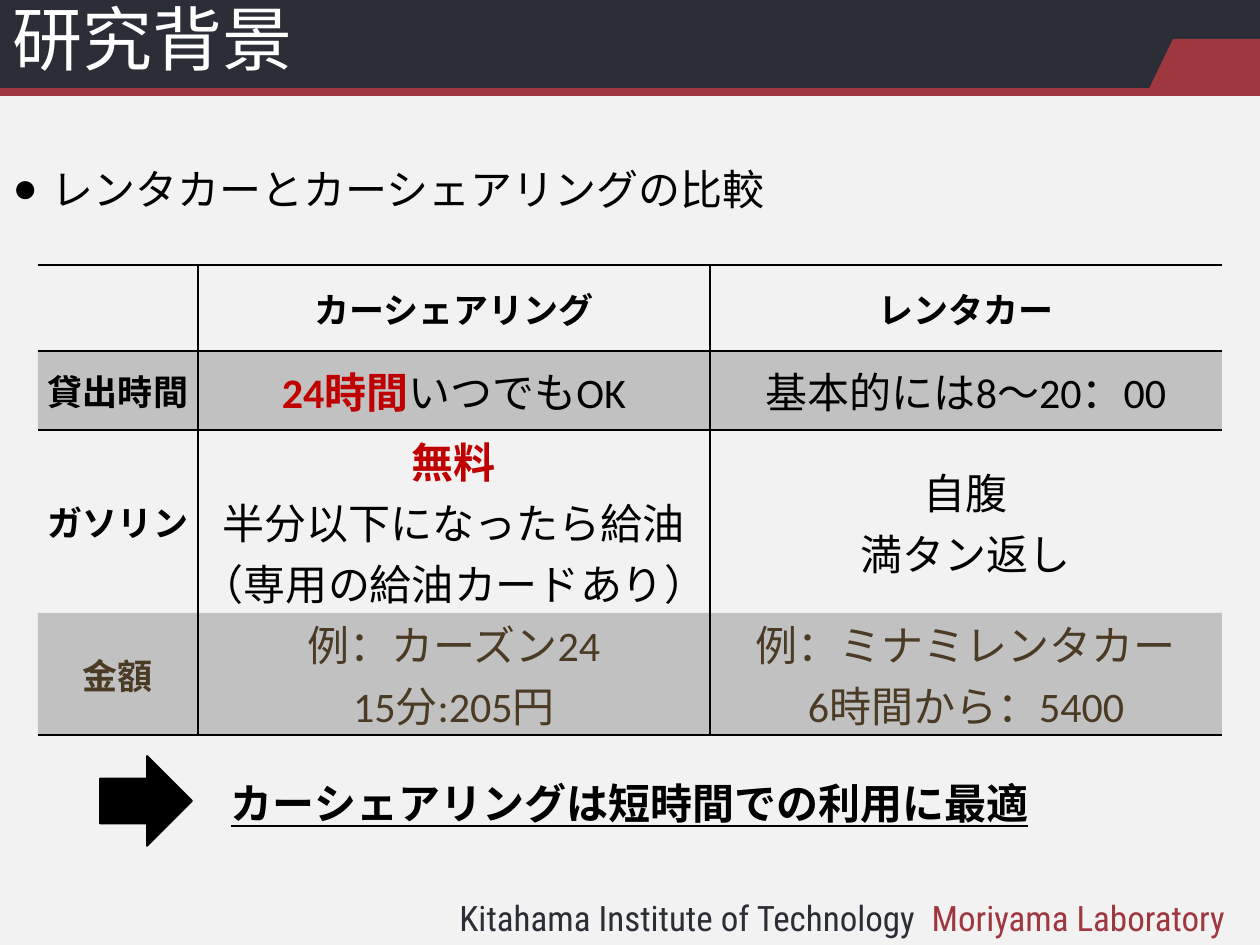
from lxml.etree import SubElement
from pptx import Presentation
from pptx.dml.color import RGBColor
from pptx.enum.shapes import MSO_CONNECTOR, MSO_SHAPE as SHAPE
from pptx.enum.text import MSO_ANCHOR as ANCHOR, MSO_AUTO_SIZE as AUTO, PP_ALIGN as ALIGN
from pptx.oxml.ns import qn
from pptx.util import Pt

PX = 914400 // 126
COLORS = {"page": "F2F2F2", "navy": "2B2E36", "red": "9E373E", "white": "FFFFFF",
          "black": "000000", "accent": "C00000", "brown": "4B3A24"}
JP, LATIN, FOOT = "Noto Sans CJK JP", "Calibri", "Roboto Condensed"

TITLE = "研究背景"
TOPIC = "レンタカーとカーシェアリングの比較"
CONCLUSION = "カーシェアリングは短時間での利用に最適"
FOOTER = [("Kitahama Institute of Technology  ", "navy"), ("Moriyama Laboratory", "red")]
HEADER = ["", "カーシェアリング", "レンタカー"]
ROWS = [
    ("貸出時間", [[("24時間", True), ("いつでもOK", False)]],
     [[("基本的には8～20：00", False)]], "black"),
    ("ガソリン", [[("無料", True)], [("半分以下になったら給油", False)],
              [("（専用の給油カードあり）", False)]],
     [[("自腹", False)], [("満タン返し", False)]], "black"),
    ("金額", [[("例：カーズン24", False)], [("15分:205円", False)]],
     [[("例：ミナミレンタカー", False)], [("6時間から：5400", False)]], "brown"),
]
COLUMN_WIDTHS = [160, 512, 512]
ROW_HEIGHTS = [86, 79, 183, 121]
BANDS = [
    (SHAPE.RECTANGLE, (0, 0, 1260, 89), "navy"),
    (SHAPE.RECTANGLE, (1173, 39, 87, 53), "red"),
    (SHAPE.RIGHT_TRIANGLE, (1149, 39, 24, 50), "red"),
]
ARROW = (100, 756, 92, 90)


def rgb(name):
    return RGBColor.from_string(COLORS[name])


def box(*px):
    return [v * PX for v in px]


def place(shape, *px):
    shape.left, shape.top, shape.width, shape.height = box(*px)


def style(font, size, color, face=LATIN, bold=False):
    font.size, font.bold, font.name = Pt(size), bold, face
    font.color.rgb = rgb(color)
    SubElement(font._rPr, qn("a:ea")).set("typeface", JP)


def add_plain(kind, bounds, color):
    shape = slide.shapes.add_shape(kind, *box(*bounds))
    shape.shadow.inherit = False
    shape.fill.solid()
    shape.fill.fore_color.rgb = rgb(color)
    shape.line.fill.background()
    return shape


def add_text(*bounds):
    frame = slide.shapes.add_textbox(*box(*bounds)).text_frame
    frame.word_wrap = True
    return frame


def write_cell(cell, lines, color, size, bold):
    cell.margin_left = cell.margin_right = cell.margin_top = cell.margin_bottom = 0
    cell.vertical_anchor = ANCHOR.MIDDLE
    frame = cell.text_frame
    for i, parts in enumerate(lines):
        line = frame.add_paragraph() if i else frame.paragraphs[0]
        line.alignment = ALIGN.CENTER
        style(line.font, size, color, bold=bold)
        for text, strong in parts:
            run = line.add_run()
            run.text = text
            style(run.font, size, "accent" if strong else color, bold=bold or strong)


def finish_cell(cell, row, col):
    tc_pr = cell._tc.get_or_add_tcPr()
    sides = [("L", col > 0), ("R", col < 2), ("T", row < 2), ("B", row in (0, 3))]
    for side, shown in sides:
        if shown:
            border = SubElement(tc_pr, qn(f"a:ln{side}"), w=str(Pt(1)))
            fill = SubElement(border, qn("a:solidFill"))
            SubElement(fill, qn("a:srgbClr"), val=COLORS["black"])
    if row % 2:
        cell.fill.solid()
        cell.fill.fore_color.rgb = rgb("black")
        shade = next(tc_pr.find(qn("a:solidFill")).iter(qn("a:srgbClr")))
        SubElement(shade, qn("a:alpha"), val="20000")
    else:
        cell.fill.background()


prs = Presentation()
prs.slide_width, prs.slide_height = box(1260, 945)
slide = prs.slides.add_slide(prs.slide_layouts[1])
slide.background.fill.solid()
slide.background.fill.fore_color.rgb = rgb("page")
title, topic = slide.placeholders

footer = add_text(447, 890, 813, 55).paragraphs[0]
for text, color in FOOTER:
    run = footer.add_run()
    run.text = text
    style(run.font, 20, color, FOOT)

bands = [add_plain(*band) for band in BANDS]
bands[-1]._element.spPr.find(qn("a:xfrm")).set("flipH", "1")
rule = slide.shapes.add_connector(MSO_CONNECTOR.STRAIGHT, *box(0, 92, 1260, 92))
rule.line.color.rgb, rule.line.width = rgb("red"), Pt(5)
SubElement(rule._element.spPr, qn("a:effectLst"))

slide.shapes._spTree.append(title._element)
place(title, 0, -1, 1137, 88)
title.text_frame.text = TITLE
title.text_frame.auto_size = AUTO.NONE
title.text_frame.vertical_anchor = ANCHOR.MIDDLE
heading = title.text_frame.paragraphs[0]
heading.alignment, heading.line_spacing = ALIGN.LEFT, 0.9
style(heading.font, 40, "white", JP)

place(topic, 0, 157, 825, 77)
topic.text_frame.text = TOPIC
topic.text_frame.auto_size = AUTO.NONE
bullet = topic.text_frame.paragraphs[0]
bullet.space_before = Pt(0)
style(bullet.font, 24, "black", JP)
bullet_pr = bullet._p.get_or_add_pPr()
bullet_pr.set("marL", str(39 * PX))
bullet_pr.set("indent", str(-39 * PX))
mark = SubElement(bullet_pr, qn("a:buChar"), char="●")
bullet_pr.find(qn("a:defRPr")).addprevious(mark)

table = slide.shapes.add_table(4, 3, *box(38, 265, sum(COLUMN_WIDTHS), sum(ROW_HEIGHTS))).table
table.first_row = table.horz_banding = False
table._tbl.tblPr.find(qn("a:tableStyleId")).text = "{2D5ABB26-0587-4C30-8999-92F81FD0307C}"
for column, width in zip(table.columns, COLUMN_WIDTHS):
    column.width = width * PX
for row, height in zip(table.rows, ROW_HEIGHTS):
    row.height = height * PX
for c, label in enumerate(HEADER):
    write_cell(table.cell(0, c), [[(label, False)]] if label else [[]], "black", 20, True)
for r, (label, sharing, rental, color) in enumerate(ROWS, 1):
    write_cell(table.cell(r, 0), [[(label, False)]], color, 20, True)
    for c, lines in enumerate((sharing, rental), 1):
        write_cell(table.cell(r, c), lines, color, 24, False)
for r in range(4):
    for c in range(3):
        finish_cell(table.cell(r, c), r, c)

arrow = add_plain(SHAPE.RIGHT_ARROW, ARROW, "black")
arrow.line.color.rgb, arrow.line.width = rgb("black"), Pt(1)

conclusion = add_text(133, 766, 993, 73)
conclusion.vertical_anchor = ANCHOR.MIDDLE
conclusion.text = CONCLUSION
claim = conclusion.paragraphs[0]
claim.alignment = ALIGN.CENTER
style(claim.font, 24, "black", bold=True)
claim.font.underline = True

prs.save("out.pptx")
